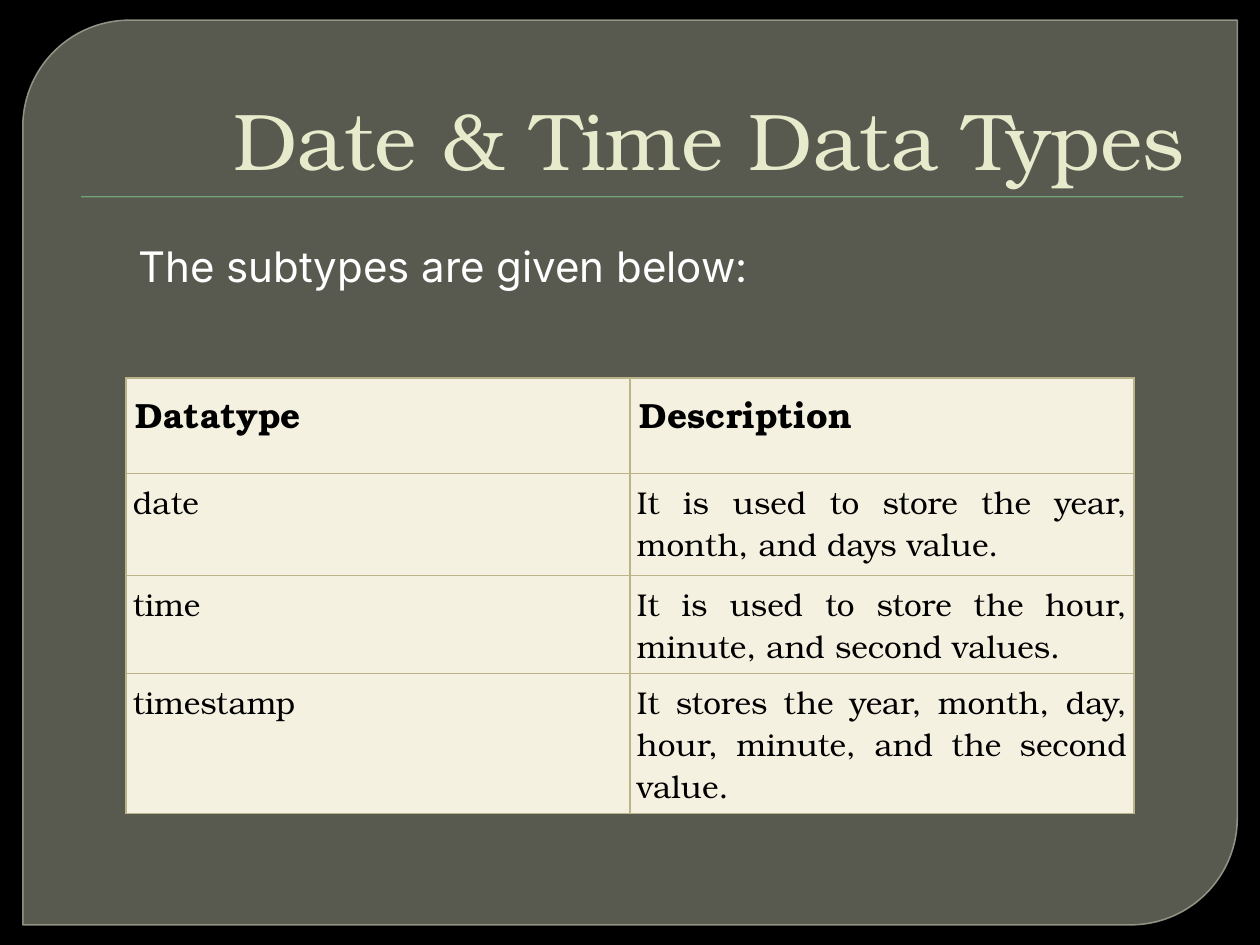
import pptx
import pptx.util
import pptx.dml.color
import pptx.enum.shapes
import pptx.enum.text
import pptx.oxml
import pptx.oxml.ns

Pt = pptx.util.Pt
ALIGN = pptx.enum.text.PP_ALIGN
ANCHOR = pptx.enum.text.MSO_ANCHOR
SHAPE = pptx.enum.shapes.MSO_SHAPE

TITLE = "Date & Time Data Types"
INTRO = "The subtypes are given below:"
DATATYPES = [
    ("Datatype", "Description"),
    ("date", "It is used to store the year, month, and days value."),
    ("time", "It is used to store the hour, minute, and second values."),
    ("timestamp", "It stores the year, month, day, hour, minute, and the second value."),
]
ROW_HEIGHTS = [54.7, 58.3, 54, 72]
COLUMN_WIDTH = 288

THEME = {
    "serif": "TeX Gyre Bonum", "sans": "Inter",
    "title_size": 46, "intro_size": 24, "header_size": 20, "cell_size": 18,
    "background": "000000", "panel": "888B7B", "panel_line": "9DA090",
    "rule": "72A376", "title": "E7EACB", "intro": "FFFFFF",
    "cell": "F5F1E1", "cell_text": "000000", "border": "BBB389",
}


def color(name):
    return pptx.dml.color.RGBColor.from_string(THEME[name])


def write(frame, text, *, size, ink, font="serif", bold=False,
          align=ALIGN.LEFT, margins=(7.2, 3.6, 7.2, 3.6)):
    frame.word_wrap = True
    (frame.margin_left, frame.margin_top,
     frame.margin_right, frame.margin_bottom) = map(Pt, margins)
    paragraph = frame.paragraphs[0]
    paragraph.alignment = align
    run = paragraph.add_run()
    run.text = text
    run.font.name = THEME[font]
    run.font.size = Pt(THEME[size])
    run.font.bold = bold
    run.font.color.rgb = color(ink)


def set_opacity(fill_parent, percent):
    rgb = fill_parent.find(".//" + pptx.oxml.ns.qn("a:srgbClr"))
    rgb.append(pptx.oxml.parse_xml(
        f'<a:alpha {pptx.oxml.ns.nsdecls("a")} val="{percent * 1000}"/>'))


def add_borders(cell):
    properties = cell._tc.get_or_add_tcPr()
    for index, side in enumerate(("lnL", "lnR", "lnT", "lnB")):
        properties.insert(index, pptx.oxml.parse_xml(
            f'<a:{side} {pptx.oxml.ns.nsdecls("a")} w="{Pt(0.75)}"><a:solidFill>'
            f'<a:srgbClr val="{THEME["border"]}"/></a:solidFill></a:{side}>'))


def add_filled(slide, preset, box, fill):
    shape = slide.shapes.add_shape(preset, *map(Pt, box))
    shape.shadow.inherit = False
    shape.fill.solid()
    shape.fill.fore_color.rgb = color(fill)
    return shape


def add_panel(slide):
    panel = add_filled(slide, SHAPE.ROUND_2_DIAG_RECTANGLE, (13, 11.5, 694, 517), "panel")
    panel.adjustments[0] = 0.118
    panel.adjustments[1] = 0
    set_opacity(panel._element.spPr, 65)
    panel.line.color.rgb = color("panel_line")
    panel.line.width = Pt(0.87)
    set_opacity(panel.line._ln, 88)


def add_title(slide):
    title = slide.shapes.title
    title.left, title.top, title.width, title.height = map(Pt, (36, 20, 648, 90))
    slide.shapes._spTree.append(title._element)
    title.text_frame.auto_size = pptx.enum.text.MSO_AUTO_SIZE.NONE
    title.text_frame.vertical_anchor = ANCHOR.BOTTOM
    write(title.text_frame, TITLE, size="title_size", ink="title", align=ALIGN.RIGHT)


def add_datatypes(slide):
    table = slide.shapes.add_table(
        len(DATATYPES), 2, Pt(72), Pt(216), Pt(2 * COLUMN_WIDTH), Pt(sum(ROW_HEIGHTS))).table
    table.horz_banding = False
    for column in table.columns:
        column.width = Pt(COLUMN_WIDTH)
    for index, (texts, height) in enumerate(zip(DATATYPES, ROW_HEIGHTS)):
        table.rows[index].height = Pt(height)
        header = index == 0
        inset = 5.7 if header else 4
        for cell, text in zip(table.rows[index].cells, texts):
            cell.fill.solid()
            cell.fill.fore_color.rgb = color("cell")
            add_borders(cell)
            write(cell.text_frame, text, ink="cell_text", bold=header,
                  size="header_size" if header else "cell_size",
                  align=ALIGN.LEFT if header else ALIGN.JUSTIFY)
            cell.margin_left = cell.margin_right = Pt(inset)
            cell.margin_top = cell.margin_bottom = Pt(inset)
            cell.vertical_anchor = ANCHOR.TOP


def main():
    deck = pptx.Presentation()
    deck.slide_width, deck.slide_height = Pt(720), Pt(540)
    slide = deck.slides.add_slide(deck.slide_layouts[5])
    slide.background.fill.solid()
    slide.background.fill.fore_color.rgb = color("background")
    add_panel(slide)
    rule = add_filled(slide, SHAPE.RECTANGLE, (46.3, 112.1, 630, 0.72), "rule")
    rule.line.fill.background()
    add_title(slide)
    add_datatypes(slide)
    intro = slide.shapes.add_textbox(Pt(72), Pt(131.8), Pt(581.8), Pt(94.3))
    intro.text_frame.vertical_anchor = ANCHOR.TOP
    write(intro.text_frame, INTRO, size="intro_size", ink="intro", font="sans",
          margins=(7.2, 5.5, 7.2, 3.6))
    deck.save("out.pptx")


if __name__ == "__main__":
    main()
